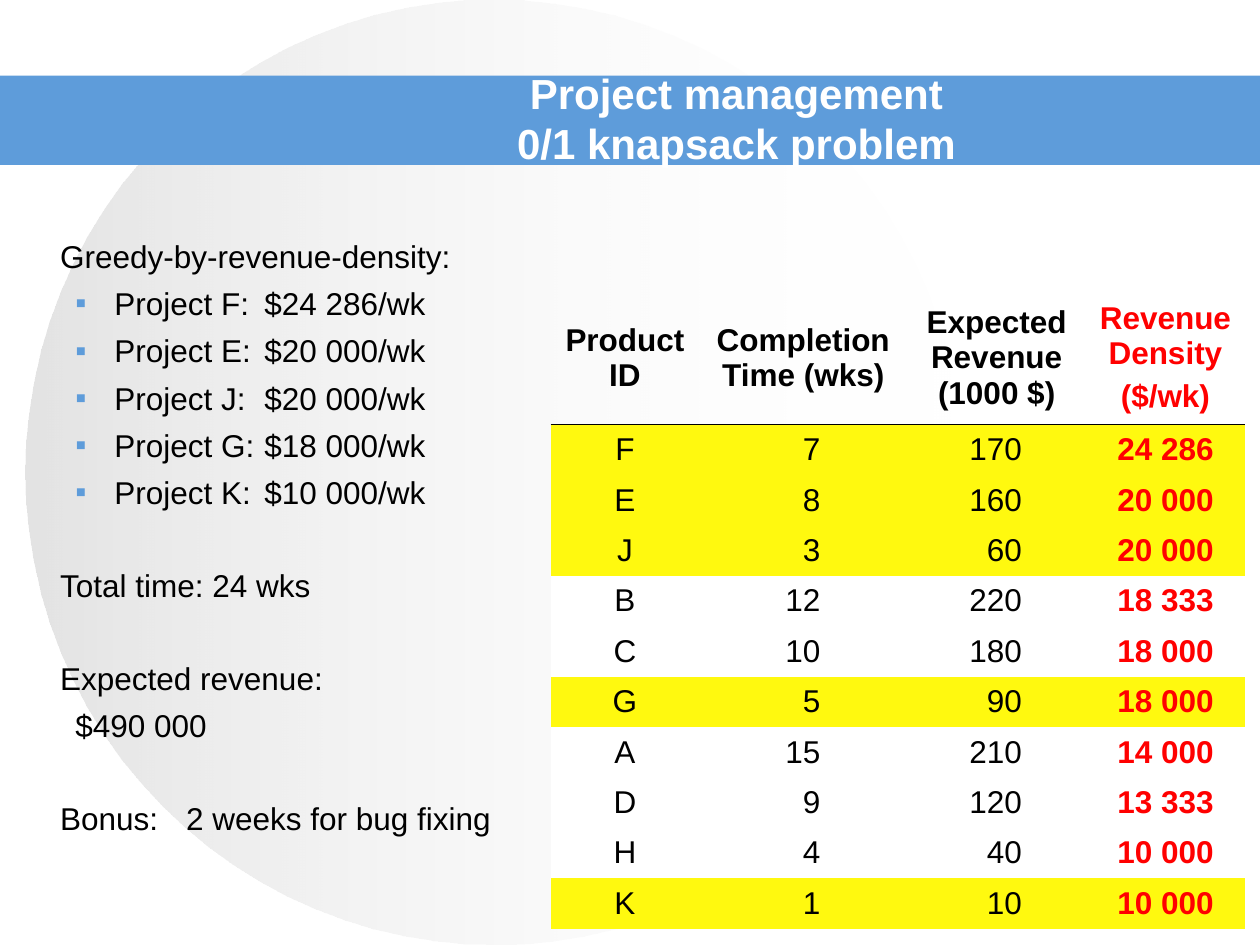
from lxml.etree import SubElement
from pptx import Presentation
from pptx.dml.color import RGBColor
from pptx.enum.shapes import MSO_SHAPE
from pptx.enum.text import MSO_ANCHOR, MSO_AUTO_SIZE, PP_ALIGN
from pptx.oxml.ns import qn
from pptx.util import Inches, Pt

COLS, ROWS = 100, 75
BLACK, WHITE, RED = "000000", "FFFFFF", "FF0000"
BLUE, GOLD, GREY = "5E9CDA", "FFF90F", "C0C0C0"
PLAIN = "{2D5ABB26-0587-4C30-8999-92F81FD0307C}"  # table style without grid

HEADS = ["Product ID", "Completion Time (wks)", "Expected Revenue (1000 $)",
         "Revenue Density\n($/wk)"]
JOBS = [("F", 7, 170, "24 286"), ("E", 8, 160, "20 000"),
        ("J", 3, 60, "20 000"), ("B", 12, 220, "18 333"),
        ("C", 10, 180, "18 000"), ("G", 5, 90, "18 000"),
        ("A", 15, 210, "14 000"), ("D", 9, 120, "13 333"),
        ("H", 4, 40, "10 000"), ("K", 1, 10, "10 000")]
CHOSEN = "FEJGK"
RATES = [("F", "24 286"), ("E", "20 000"), ("J", "20 000"),
         ("G", "18 000"), ("K", "10 000")]


def tint(code):
    return RGBColor.from_string(code)


def write(para, text, size=18, color=BLACK, bold=False, font="Arial",
          align=PP_ALIGN.LEFT, before=0, left=0, hang=0, tab=None, mark=None):
    """Fill one paragraph; left, hang and tab are in inches."""
    para.text = text
    para.alignment = align
    para.space_before = Pt(before)
    props = para._p.get_or_add_pPr()
    props.set("marL", str(Inches(left)))
    props.set("indent", str(Inches(-hang)))
    if mark:
        hue = SubElement(props, qn("a:buClr"))
        SubElement(hue, qn("a:srgbClr"), val=BLUE)
        SubElement(props, qn("a:buFont"), typeface=font)
        SubElement(props, qn("a:buChar"), char=mark)
    else:
        SubElement(props, qn("a:buNone"))
    if tab:
        stops = SubElement(props, qn("a:tabLst"))
        SubElement(stops, qn("a:tab"), pos=str(Inches(tab)), algn="l")
    for run in para.runs:
        face = run.font
        face.name, face.size, face.bold = font, Pt(size), bold
        face.color.rgb = tint(color)


class Deck:
    def __init__(self):
        self.prs = Presentation()
        self.prs.slide_width, self.prs.slide_height = Inches(10), Inches(7.5)
        self.slide = self.prs.slides.add_slide(self.prs.slide_layouts[5])
        self.shapes = self.slide.shapes

    def wide(self, n):
        return round(self.prs.slide_width * n / COLS)

    def high(self, n):
        return round(self.prs.slide_height * n / ROWS)

    def box(self, x, y, w, h):
        return self.wide(x), self.high(y), self.wide(w), self.high(h)

    def shape(self, kind, *area):
        item = self.shapes.add_shape(kind, *self.box(*area))
        item.shadow.inherit = False
        item.line.fill.background()
        return item

    def bar(self, *area):
        fill = self.shape(MSO_SHAPE.RECTANGLE, *area).fill
        fill.solid()
        fill.fore_color.rgb = tint(BLUE)

    def disc(self, *area):
        """Draw an ellipse that fades out to the right."""
        fill = self.shape(MSO_SHAPE.OVAL, *area).fill
        fill.gradient()
        fill.gradient_angle = 0
        for stop, code, share in zip(fill.gradient_stops, (GREY, WHITE), (44, 0)):
            stop.color.rgb = tint(code)
            hue = stop._gs.find(qn("a:srgbClr"))
            SubElement(hue, qn("a:alpha"), val=str(share * 1000))

    def title(self, text, *area):
        head = self.shapes.title
        head.left, head.top, head.width, head.height = self.box(*area)
        frame = head.text_frame
        frame.auto_size = MSO_AUTO_SIZE.NONE
        frame.vertical_anchor = MSO_ANCHOR.MIDDLE
        write(frame.paragraphs[0], text, size=24, color=WHITE, bold=True,
              align=PP_ALIGN.CENTER)
        self.shapes._spTree.append(head._element)  # bring to front

    def notes(self, lines, *area):
        frame = self.shapes.add_textbox(*self.box(*area)).text_frame
        frame.word_wrap = True
        for i, (text, style) in enumerate(lines):
            para = frame.add_paragraph() if i else frame.paragraphs[0]
            write(para, text, **style)

    def cell(self, cell, text, fill=None, **style):
        cell.vertical_anchor = MSO_ANCHOR.MIDDLE
        if fill:
            cell.fill.solid()
            cell.fill.fore_color.rgb = tint(fill)
        else:
            cell.fill.background()
        frame = cell.text_frame
        for i, line in enumerate(text.split("\n")):
            para = frame.add_paragraph() if i else frame.paragraphs[0]
            write(para, line, before=4.5 if i else 0, **style)

    def rule(self, cell):
        """Draw a thin line under a cell."""
        props = cell._tc.get_or_add_tcPr()
        line = SubElement(props, qn("a:lnB"), w=str(Pt(0.45)))
        fill = SubElement(line, qn("a:solidFill"))
        SubElement(fill, qn("a:srgbClr"), val=BLACK)
        props.insert(0, line)

    def table(self, x, y, spans, top, step):
        area = self.box(x, y, sum(spans), top + step * len(JOBS))
        grid = self.shapes.add_table(len(JOBS) + 1, len(spans), *area).table
        grid.first_row = grid.horz_banding = False
        grid._tbl.tblPr.find(qn("a:tableStyleId")).text = PLAIN
        for col, span in zip(grid.columns, spans):
            col.width = self.wide(span)
        for i, row in enumerate(grid.rows):
            row.height = self.high(step if i else top)
        last = len(spans) - 1
        for c, text in enumerate(HEADS):
            self.cell(grid.cell(0, c), text, bold=True, align=PP_ALIGN.CENTER,
                      color=RED if c == last else BLACK)
            self.rule(grid.cell(0, c))
        inset = {1: 6.9, 2: 5.1}  # right margins of the number columns
        for r, job in enumerate(JOBS, 1):
            for c, value in enumerate(job):
                spot = grid.cell(r, c)
                if c in inset:
                    spot.margin_right = self.wide(inset[c])
                self.cell(spot, str(value), GOLD if job[0] in CHOSEN else WHITE,
                          bold=c == last, color=RED if c == last else BLACK,
                          align=PP_ALIGN.RIGHT if c in inset else PP_ALIGN.CENTER)


def main():
    deck = Deck()
    deck.disc(2, 0, 74.4, 75)
    deck.bar(0, 6, 100, 7.1)
    deck.table(43.7, 23.1, (11.8, 16.5, 14.2, 12.6), 10.6, 4)
    deck.title("Project management\v0/1 knapsack problem", 17.2, 6.7, 82.5, 5.3)

    item = dict(left=0.81, hang=0.31, before=5.4, tab=2, mark="▪")
    part = dict(left=0.38, before=31.4)
    lines = [("Greedy-by-revenue-density:", dict(left=0.38))]
    lines += [(f"Project {name}:\t${rate}/wk", item) for name, rate in RATES]
    lines += [("Total time: 24 wks", part),
              ("Expected revenue:", part),
              ("$490 000", dict(left=0.5, before=5.4)),
              ("Bonus:\t2 weeks for bug fixing", dict(part, tab=1.29))]
    deck.notes(lines, 0, 18.3, 43, 50.8)
    deck.prs.save("out.pptx")


if __name__ == "__main__":
    main()
